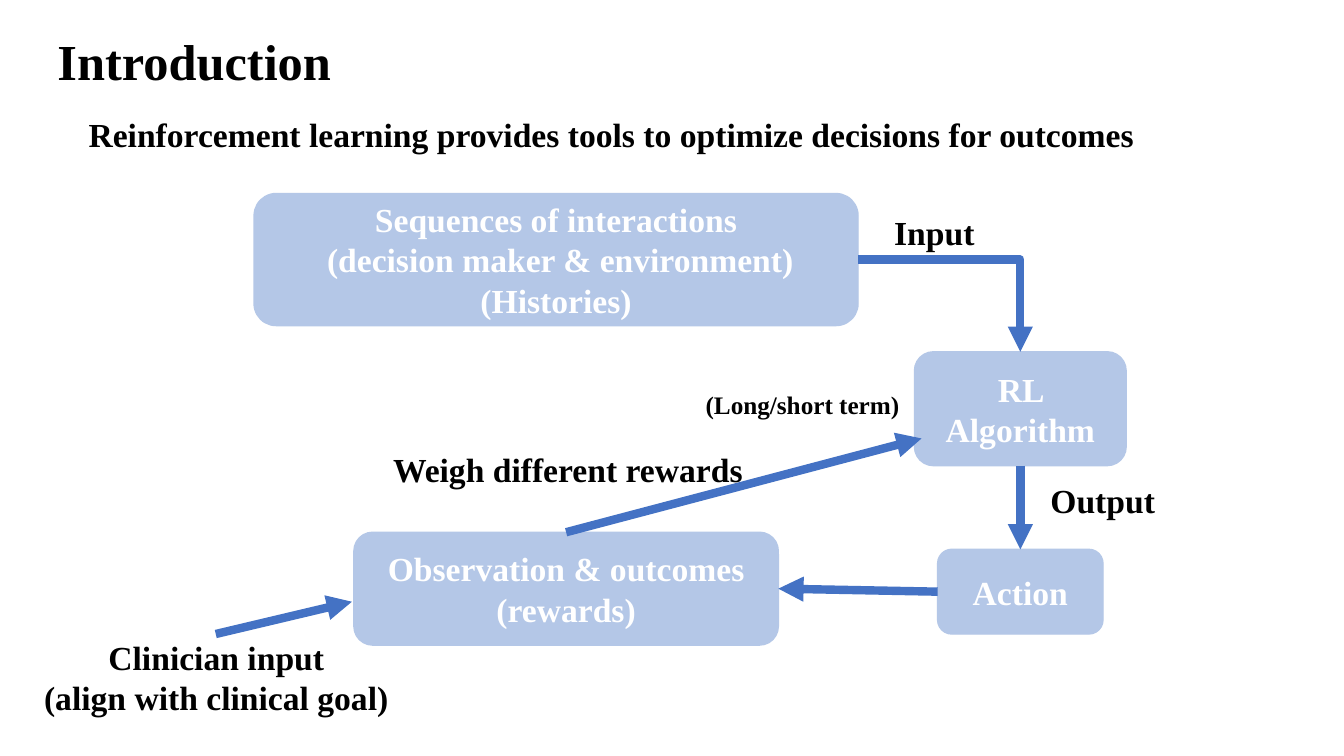
import pptx
import pptx.util
import pptx.dml.color
import pptx.enum.shapes
import pptx.enum.text
import pptx.oxml
import pptx.oxml.ns
from pptx.util import Inches

FONT = "Times New Roman"
BLACK, WHITE, BOX_BLUE, ARROW_BLUE = "000000", "FFFFFF", "B4C7E7", "4472C4"
TOP, LEFT, BOTTOM, RIGHT = range(4)

TITLE = ("Introduction", (0.47, 0.25, 6.67, 0.71))

# Boxes: lines of text, (left, top, width, height)
BOXES = {
    "histories": (["Sequences of interactions", " (decision maker & environment)", "(Histories)"],
                  (2.52, 1.92, 5.99, 1.31)),
    "algorithm": (["RL Algorithm"], (9.07, 3.49, 2.1, 1.13)),
    "action": (["Action"], (9.3, 5.45, 1.64, 0.84)),
    "rewards": (["Observation & outcomes", "(rewards)"], (3.51, 5.28, 4.21, 1.12)),
}

# Labels: lines of text, (left, top, width, height), size, centred
LABELS = [
    (["Reinforcement learning provides tools to optimize decisions for outcomes"],
     (0.78, 1.08, 12.15, 0.5), 24, False),
    (["Clinician input", "(align with clinical goal)"], (0, 6.27, 4.29, 0.91), 24, True),
    (["Weigh different rewards"], (3.8, 4.4, 4.2, 0.5), 24, False),
    (["Input"], (8.77, 2.05, 2, 0.5), 24, False),
    (["Output"], (10.32, 4.71, 2, 0.5), 24, False),
    (["(Long/short term)"], (6.9, 3.81, 2.4, 0.4), 18, False),
]

# Arrows: each end is a (box, side) pair or an (x, y) point
ARROWS = [
    ((2.14, 6.29), (3.49, 5.97)),
    (("algorithm", BOTTOM), ("action", TOP)),
    (("action", LEFT), ("rewards", RIGHT)),
    (("histories", RIGHT), ("algorithm", TOP)),
    (("rewards", TOP), (9.14, 4.35)),
]
BENT = ("histories", RIGHT)


def rgb(value):
    return pptx.dml.color.RGBColor.from_string(value)


def inches(values):
    return [Inches(v) for v in values]


def write(frame, lines, size, color, centred):
    frame.word_wrap = True
    for i, line in enumerate(lines):
        paragraph = frame.paragraphs[0] if i == 0 else frame.add_paragraph()
        paragraph.line_spacing = 1.0
        align = pptx.enum.text.PP_ALIGN
        paragraph.alignment = align.CENTER if centred else align.LEFT
        run = paragraph.add_run()
        run.text = line
        run.font.name = FONT
        run.font.size = pptx.util.Pt(size)
        run.font.bold = True
        run.font.color.rgb = rgb(color)


def end_point(end):
    if isinstance(end[0], float):
        return end
    left, top, width, height = BOXES[end[0]][1]
    return {TOP: (left + width / 2, top), LEFT: (left, top + height / 2),
            BOTTOM: (left + width / 2, top + height),
            RIGHT: (left + width, top + height / 2)}[end[1]]


def add_arrow(slide, boxes, start, end):
    kinds = pptx.enum.shapes.MSO_CONNECTOR
    kind = kinds.ELBOW if start == BENT else kinds.STRAIGHT
    arrow = slide.shapes.add_connector(kind, *inches(end_point(start) + end_point(end)))
    if start[0] in boxes:
        arrow.begin_connect(boxes[start[0]], start[1])
    if end[0] in boxes:
        arrow.end_connect(boxes[end[0]], end[1])
    arrow.line.color.rgb = rgb(ARROW_BLUE)
    arrow.line.width = pptx.util.Pt(6)
    # One-corner elbow, arrowhead and no shadow
    properties = arrow._element.spPr
    if start == BENT:
        properties.find(pptx.oxml.ns.qn("a:prstGeom")).set("prst", "bentConnector2")
    namespace = pptx.oxml.ns.nsdecls("a")
    arrow.line._get_or_add_ln().append(
        pptx.oxml.parse_xml(f'<a:tailEnd {namespace} type="triangle"/>'))
    properties.append(pptx.oxml.parse_xml(f"<a:effectLst {namespace}/>"))


def main():
    deck = pptx.Presentation()
    deck.slide_width, deck.slide_height = Inches(13.33), Inches(7.5)
    slide = deck.slides.add_slide(deck.slide_layouts[5])

    # Title
    heading, place = TITLE
    title = slide.shapes.title
    title.left, title.top, title.width, title.height = inches(place)
    title.text_frame.vertical_anchor = pptx.enum.text.MSO_ANCHOR.TOP
    title.text_frame.auto_size = pptx.enum.text.MSO_AUTO_SIZE.NONE
    write(title.text_frame, [heading], 36, BLACK, False)

    # Boxes
    boxes = {}
    for name, (lines, place) in BOXES.items():
        box = slide.shapes.add_shape(
            pptx.enum.shapes.MSO_SHAPE.ROUNDED_RECTANGLE, *inches(place))
        box.shadow.inherit = False
        box.fill.solid()
        box.fill.fore_color.rgb = rgb(BOX_BLUE)
        box.line.color.rgb = rgb(BOX_BLUE)
        box.line.width = pptx.util.Pt(1)
        box.text_frame.vertical_anchor = pptx.enum.text.MSO_ANCHOR.MIDDLE
        write(box.text_frame, lines, 24, WHITE, True)
        boxes[name] = box

    # Arrows
    for start, end in ARROWS:
        add_arrow(slide, boxes, start, end)

    # Labels
    for lines, place, size, centred in LABELS:
        label = slide.shapes.add_textbox(*inches(place))
        write(label.text_frame, lines, size, BLACK, centred)

    deck.save("out.pptx")


if __name__ == "__main__":
    main()
